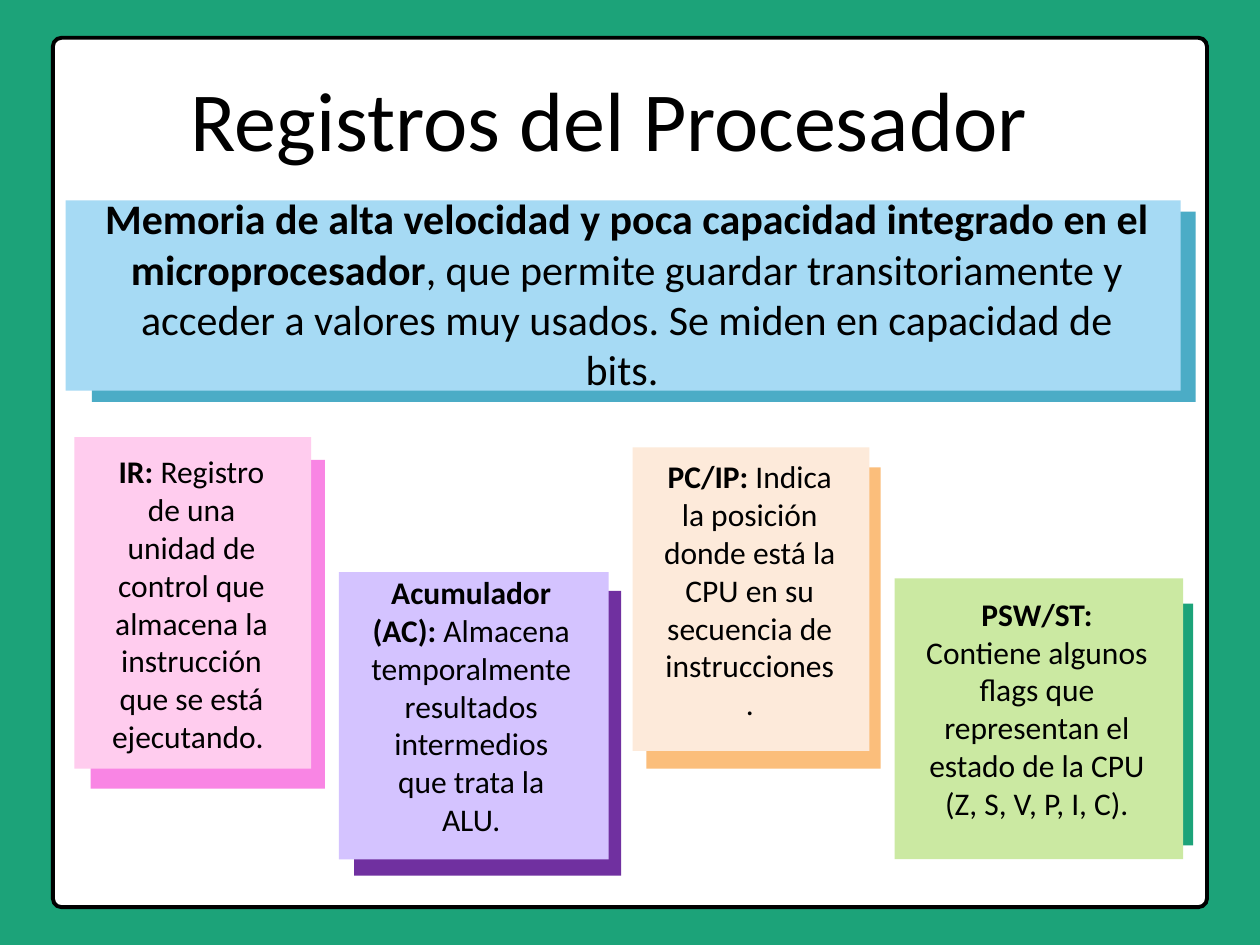
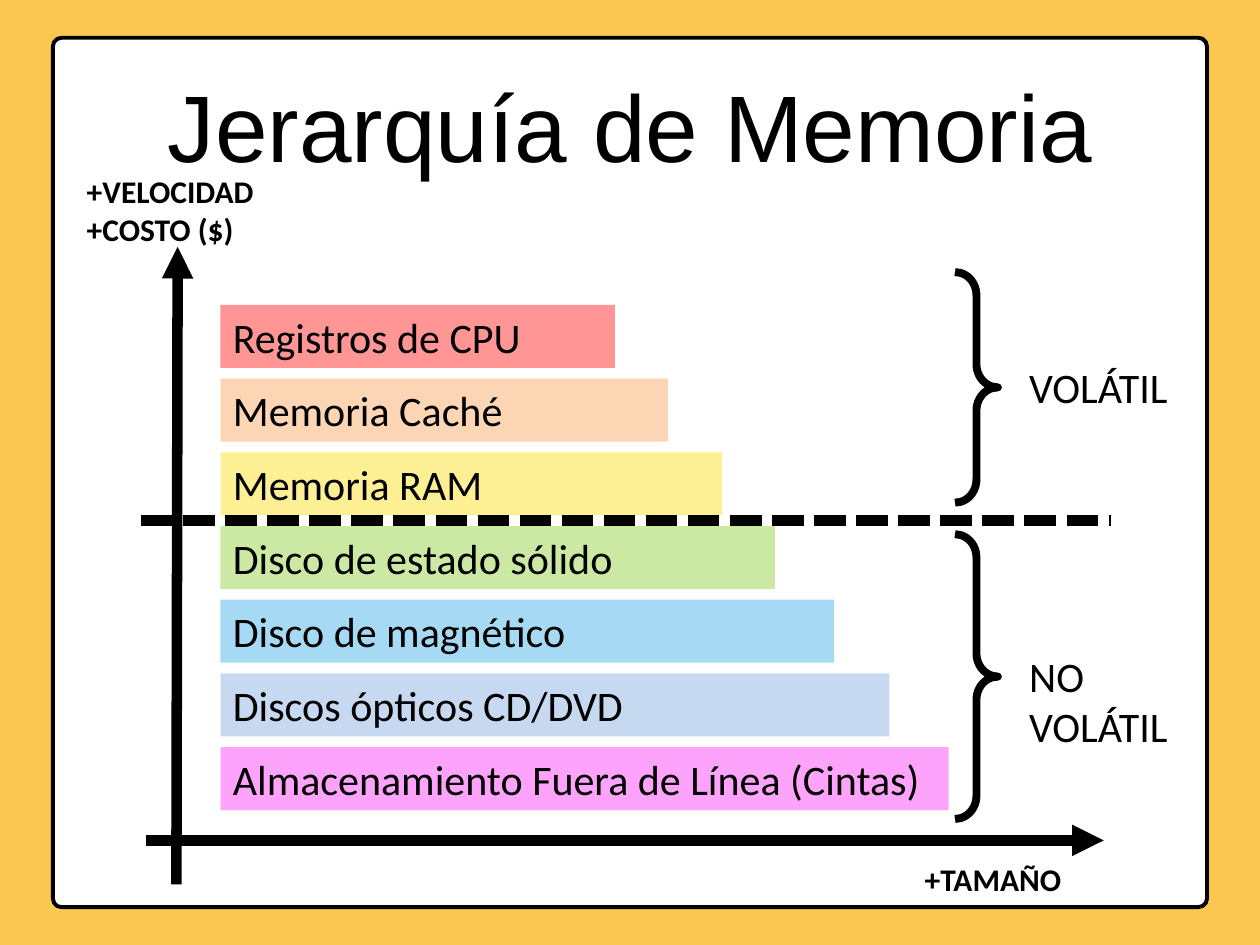
from lxml.etree import SubElement
from pptx import Presentation
from pptx.dml.color import RGBColor
from pptx.enum.dml import MSO_LINE
from pptx.enum.shapes import MSO_CONNECTOR, MSO_SHAPE
from pptx.enum.text import MSO_ANCHOR, PP_ALIGN
from pptx.oxml.ns import qn
from pptx.util import Inches, Pt

# Shared style
BLACK = RGBColor(0x00, 0x00, 0x00)
WHITE = RGBColor(0xFF, 0xFF, 0xFF)
GREEN = RGBColor(0x1C, 0xA3, 0x79)
AMBER = RGBColor(0xFC, 0xC7, 0x51)
TEAL = RGBColor(0x4B, 0xAC, 0xC6)
SKY = RGBColor(0xA6, 0xDA, 0xF4)
LIME = RGBColor(0xCB, 0xE9, 0xA2)
PURPLE = RGBColor(0x70, 0x30, 0xA0)
LILAC = RGBColor(0xD4, 0xC3, 0xFF)
ORANGE = RGBColor(0xFB, 0xBE, 0x7B)
CREAM = RGBColor(0xFD, 0xEA, 0xDA)
PINK = RGBColor(0xF9, 0x85, 0xE4)
ROSE = RGBColor(0xFF, 0xCC, 0xEE)
CORAL = RGBColor(0xFF, 0x95, 0x95)
PEACH = RGBColor(0xFC, 0xD5, 0xB5)
YELLOW = RGBColor(0xFD, 0xEF, 0x94)
PALE_BLUE = RGBColor(0xC6, 0xD9, 0xF1)
MAGENTA = RGBColor(0xFE, 0xA3, 0xFB)
FONT = "Calibri"
PANEL = (0.42, 0.3, 9.16, 6.9)
PLAIN_INSETS = (0.1, 0.05)
CARD_INSETS = (0.28, 0.28)

# Slide 1: back box, front box, text box, colours, size, bold lead, rest
CARDS = [
    ((0.73, 1.68, 8.76, 1.51), (0.52, 1.59, 8.85, 1.51), (0.52, 1.56, 8.91, 1.54),
     TEAL, SKY, 24,
     "Memoria de alta velocidad y poca capacidad integrado en el microprocesador",
     ", que permite guardar transitoriamente y acceder a valores muy usados. "
     "Se miden en capacidad de bits. "),
    ((7.2, 4.79, 2.27, 1.92), (7.1, 4.59, 2.29, 2.23), (7.06, 4.56, 2.34, 2.12),
     GREEN, LIME, 18, "PSW/ST: ",
     "Contiene algunos flags que representan el estado de la CPU (Z, S, V, P, I, C)."),
    ((2.81, 4.69, 2.12, 2.26), (2.69, 4.54, 2.14, 2.28), (2.65, 4.42, 2.18, 2.36),
     PURPLE, LILAC, 18, "Acumulador (AC):",
     " Almacena temporalmente resultados intermedios que trata la ALU."),
    ((5.13, 3.71, 1.86, 2.39), (5.02, 3.55, 1.88, 2.41), (4.99, 3.48, 1.92, 2.4),
     ORANGE, CREAM, 18, "PC/IP:",
     " Indica la posición donde está la CPU en su secuencia de instrucciones."),
    ((0.72, 3.65, 1.86, 2.61), (0.59, 3.47, 1.88, 2.63), (0.56, 3.4, 1.92, 2.78),
     PINK, ROSE, 18, "IR: ",
     "Registro de una unidad de control que almacena la instrucción "
     "que se está ejecutando. "),
]

# Slide 2: memory levels, fastest first
LEVELS = [
    ("Registros de CPU", 3.13, CORAL),
    ("Memoria Caché", 3.55, PEACH),
    ("Memoria RAM", 3.98, YELLOW),
    ("Disco de estado sólido", 4.4, LIME),
    ("Disco de magnético", 4.87, SKY),
    ("Discos ópticos CD/DVD", 5.31, PALE_BLUE),
    ("Almacenamiento Fuera de Línea (Cintas)", 5.78, MAGENTA),
]
LEVEL_LEFT, LEVEL_TOP, LEVEL_HEIGHT, LEVEL_PITCH = 1.75, 2.42, 0.5, 0.585
AXES = [((1.16, 6.67), (8.76, 6.67)), ((1.4, 7.02), (1.41, 1.96))]
DIVIDER = ((1.12, 4.13), (8.82, 4.13))
AXIS_LABELS = [
    (["+VELOCIDAD", "+COSTO ($)"], (0.59, 1.32, 1.63, 0.7)),
    (["+TAMAÑO"], (7.24, 6.78, 1.52, 0.4)),
]
GROUPS = [  # label, label box, brace box
    ("VOLÁTIL", (8.07, 2.82, 1.63, 0.5), (7.58, 2.16, 0.34, 1.83)),
    ("NO VOLÁTIL", (8.07, 5.11, 1.77, 0.9), (7.58, 4.24, 0.34, 2.26)),
]


def inches(box):
    return [Inches(v) for v in box]


def add_shape(slide, kind, box, fill=None, line=None, weight=0):
    sp = slide.shapes.add_shape(kind, *inches(box))
    sp.shadow.inherit = False
    if fill is None:
        sp.fill.background()
    else:
        sp.fill.solid()
        sp.fill.fore_color.rgb = fill
    if line is None:
        sp.line.fill.background()
    else:
        sp.line.color.rgb = line
        sp.line.width = Pt(weight)
    return sp


def write(sp, paragraphs, size, font=FONT, align=PP_ALIGN.LEFT,
          anchor=MSO_ANCHOR.TOP, insets=PLAIN_INSETS):
    """Each paragraph is a list of (text, bold) runs."""
    tf = sp.text_frame
    tf.word_wrap = True
    tf.vertical_anchor = anchor
    tf.margin_left = tf.margin_right = Inches(insets[0])
    tf.margin_top = tf.margin_bottom = Inches(insets[1])
    for i, runs in enumerate(paragraphs):
        p = tf.add_paragraph() if i else tf.paragraphs[0]
        p.alignment = align
        for text, bold in runs:
            r = p.add_run()
            r.text = text
            r.font.name, r.font.size, r.font.bold = font, Pt(size), bold
            r.font.color.rgb = BLACK
    return tf


def add_text(slide, box, paragraphs, size, **style):
    return write(slide.shapes.add_textbox(*inches(box)), paragraphs, size, **style)


def add_line(slide, start, end):
    line = slide.shapes.add_connector(MSO_CONNECTOR.STRAIGHT, *inches(start + end))
    line.line.color.rgb = BLACK
    line.line.width = Pt(6)
    SubElement(line._element.spPr, qn("a:effectLst"))
    return line


def add_title(slide, text, box, size, font=FONT):
    return add_text(slide, box, [[(text, False)]], size, font=font,
                    align=PP_ALIGN.CENTER, insets=(0, 0))


def new_slide(prs, background):
    slide = prs.slides.add_slide(prs.slide_layouts[6])
    slide.background.fill.solid()
    slide.background.fill.fore_color.rgb = background
    panel = add_shape(slide, MSO_SHAPE.ROUNDED_RECTANGLE, PANEL, WHITE, BLACK, 2.25)
    panel.adjustments[0] = 0.01
    return slide


def build_registers(prs):
    slide = new_slide(prs, GREEN)
    for back, front, text_box, shade, fill, size, lead, rest in CARDS:
        add_shape(slide, MSO_SHAPE.RECTANGLE, back, shade)
        add_shape(slide, MSO_SHAPE.RECTANGLE, front, fill)
        add_text(slide, text_box, [[(lead, True), (rest, False)]], size,
                 align=PP_ALIGN.CENTER, anchor=MSO_ANCHOR.MIDDLE, insets=CARD_INSETS)
    add_title(slide, "Registros del Procesador", (0.57, 0.54, 8.53, 0.8), 48)


def build_hierarchy(prs):
    slide = new_slide(prs, AMBER)
    tf = add_title(slide, "Jerarquía de Memoria", (0.97, -0.43, 8.06, 1.87), 54, "Arial")
    tf.paragraphs[0].line_spacing = Pt(134.4)

    # Level bars
    for i, (name, width, fill) in enumerate(LEVELS):
        box = (LEVEL_LEFT, LEVEL_TOP + i * LEVEL_PITCH, width, LEVEL_HEIGHT)
        write(add_shape(slide, MSO_SHAPE.RECTANGLE, box, fill), [[(name, False)]], 24)

    # Axes
    for start, end in AXES:
        axis = add_line(slide, start, end)
        SubElement(axis.line._get_or_add_ln(), qn("a:tailEnd"), type="triangle")
    for lines, box in AXIS_LABELS:
        add_text(slide, box, [[(line, True)] for line in lines], 18)

    # Volatile and non-volatile groups
    add_line(slide, *DIVIDER).line.dash_style = MSO_LINE.SQUARE_DOT
    for label, label_box, brace_box in GROUPS:
        brace = add_shape(slide, MSO_SHAPE.RIGHT_BRACE, brace_box, None, BLACK, 4.5)
        brace.adjustments[0] = 0.54
        add_text(slide, label_box, [[(label, False)]], 24)


def main():
    prs = Presentation()
    prs.slide_width, prs.slide_height = Inches(10), Inches(7.5)
    build_registers(prs)
    build_hierarchy(prs)
    prs.save("out.pptx")


if __name__ == "__main__":
    main()
